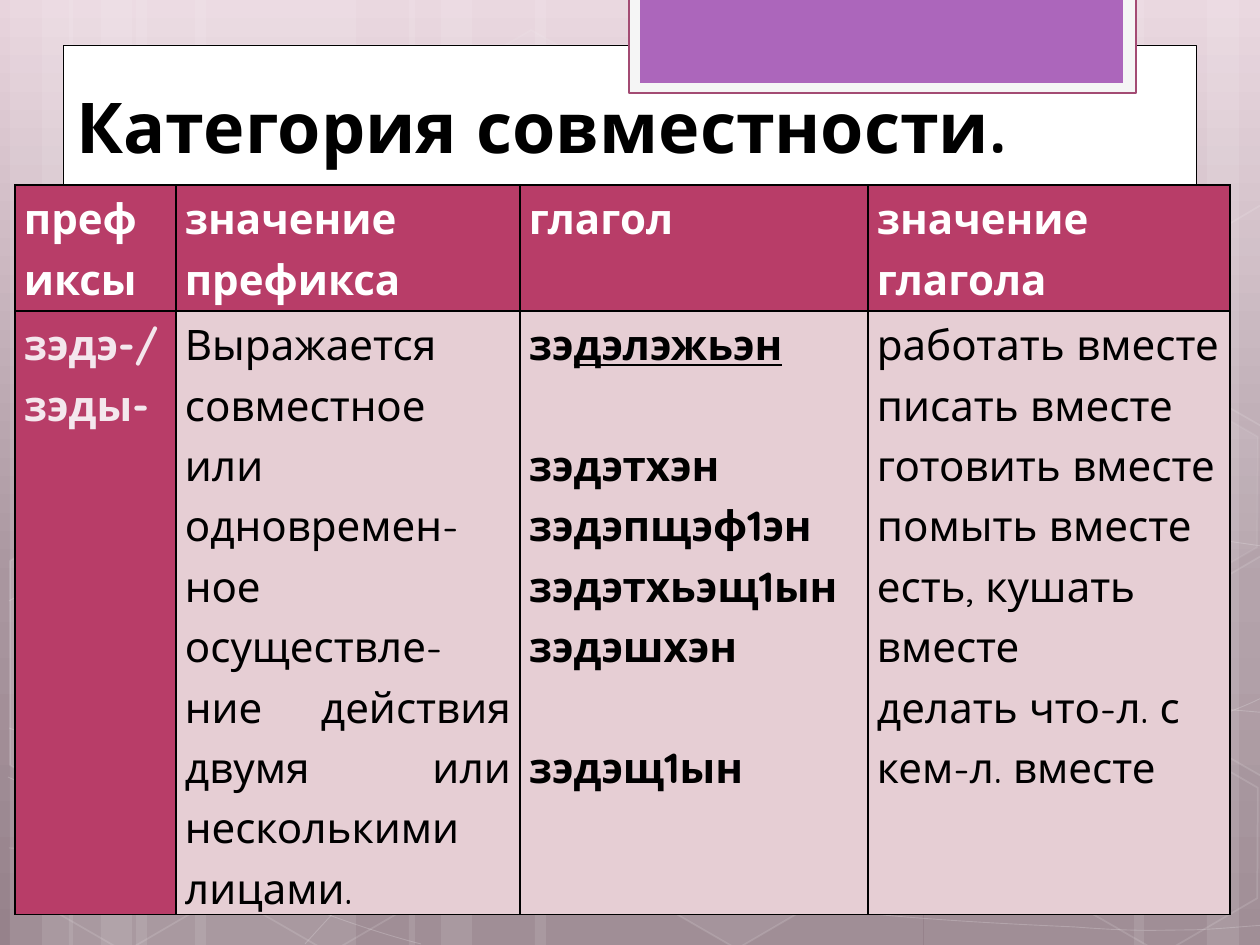
from copy import deepcopy
from typing import NamedTuple, Optional

from lxml.etree import SubElement
from pptx import Presentation
from pptx.dml.color import RGBColor
from pptx.enum.shapes import MSO_SHAPE as SHAPE
from pptx.enum.text import MSO_ANCHOR as ANCHOR, PP_ALIGN as ALIGN
from pptx.oxml.ns import qn
from pptx.util import Pt

PX = 914400 / 126
FONT = "Quicksand"
LINE_PT = 34.5  # height of one table text line


class Hexagon(NamedTuple):
    x: int
    y: int
    fill_alpha: Optional[int]
    line_alpha: int


class Outline(NamedTuple):
    points: list
    fill_alpha: Optional[int] = None


class Run(NamedTuple):
    text: str
    underline: bool = False


class Line(NamedTuple):
    runs: list
    gap: float = 0  # space before, in points


# Vertical stripes: left, width
STRIPES = [(136, 220), (10, 63), (42, 105), (195, 220), (69, 63), (101, 105),
           (924, 220), (1207, 53), (1134, 105), (535, 388), (409, 63), (441, 105)]

# Each curve is a start point followed by groups of three Bezier points
CURVES = [
    [(9, 848), (77, 852), (145, 856), (239, 854), (334, 853), (451, 850), (577, 838),
     (703, 825), (882, 801), (998, 777), (1113, 753), (1231, 716), (1269, 694)],
    [(9, 601), (45, 581), (82, 562), (152, 543), (224, 524), (326, 496), (437, 488),
     (549, 479), (685, 478), (824, 488), (963, 498), (1193, 537), (1269, 547)],
    [(8, 777), (160, 847), (311, 916), (421, 944)],
    [(9, 728), (48, 742), (88, 756), (161, 776), (234, 795), (344, 827), (450, 848),
     (554, 869), (687, 892), (791, 905), (896, 919), (1008, 924), (1075, 927),
     (1140, 932), (1158, 930), (1191, 930), (1223, 929), (1246, 926), (1269, 925)],
    [(305, 944), (328, 919), (350, 893), (381, 871), (411, 848), (454, 822), (489, 805),
     (524, 788), (546, 780), (592, 767), (638, 755), (722, 737), (766, 728),
     (811, 719), (818, 719), (857, 717), (896, 713), (958, 709), (1000, 708),
     (1045, 707), (1116, 708), (1116, 708), (1116, 708), (1201, 708), (1201, 708),
     (1223, 709), (1245, 711), (1256, 712), (1268, 713), (1264, 712), (1268, 713)],
]

HEXAGONS = [Hexagon(421, 45, 4, 8), Hexagon(626, 742, 6, 12), Hexagon(14, 745, None, 12),
            Hexagon(18, 393, 7, 8), Hexagon(219, 746, None, 12), Hexagon(949, 571, 10, 12),
            Hexagon(1051, 747, None, 12), Hexagon(1051, 396, 7, 8)]

CUT_HEXAGONS = [
    Outline([(10, 561), (24, 552), (121, 607), (120, 718), (25, 774), (10, 765)], 10),
    Outline([(1167, 611), (1261, 556), (1271, 562), (1271, 772), (1263, 777), (1167, 722)], 4),
    Outline([(1167, 261), (1261, 205), (1273, 212), (1271, 422), (1263, 427), (1167, 372)]),
]

COLUMNS = [161, 344, 348, 362]
ROWS = [126, 599]
HEADER = ["префиксы", "значение префикса", "глагол", "значение глагола"]
BODY = [
    [Line([Run("зэдэ-/зэды-")])],
    [Line([Run("Выражается совместное или одновремен-ное осуществле-ние действия "
               "двумя или несколькими лицами.")])],
    [Line([Run("зэ"), Run("дэлэжьэн", True)]), Line([Run("зэдэтхэн")], LINE_PT),
     Line([Run("зэдэпщэф1эн")]), Line([Run("зэдэтхьэщ1ын")]), Line([Run("зэдэшхэн")]),
     Line([Run("зэдэщ1ын")], LINE_PT)],
    [Line([Run(t)]) for t in ("работать вместе", "писать вместе", "готовить вместе",
                              "помыть вместе", "есть, кушать вместе",
                              "делать что-л. с кем-л. вместе")],
]


def px(n: float) -> int:
    return round(n * PX)


def rgb(value: str) -> RGBColor:
    return RGBColor.from_string(value)


def set_all(obj, values: dict) -> None:
    for name, value in values.items():
        setattr(obj, name, value)


def paint(fill, color: Optional[str], alpha: Optional[int] = None) -> None:
    if color is None:
        fill.background()
        return
    fill.solid()
    fill.fore_color.rgb = rgb(color)
    if alpha is not None:
        clr = fill._xPr.find(qn("a:solidFill"))[0]
        SubElement(clr, qn("a:alpha"), val=str(alpha * 1000))


def style(sp, fill=None, fill_alpha=None, line=None, width=1.0, line_alpha=None) -> None:
    sp.shadow.inherit = False
    paint(sp.fill, fill, fill_alpha)
    paint(sp.line.fill, line, line_alpha)
    if line:
        sp.line.width = Pt(width)


def add_box(s, x: int, y: int, w: int, h: int, kind=SHAPE.RECTANGLE, **look):
    sp = s.shapes.add_shape(kind, px(x), px(y), px(w), px(h))
    style(sp, **look)
    return sp


def add_outline(s, points: list, close: bool, **look):
    builder = s.shapes.build_freeform(*points[0], scale=PX)
    builder.add_line_segments(points[1:], close=close)
    sp = builder.convert_to_shape()
    style(sp, **look)
    return sp


def add_curve(s, points: list) -> None:
    sp = add_outline(s, points, False, line="FFFFFF", width=0.5, line_alpha=20)
    route = next(sp._element.iter(qn("a:path")))
    steps = route.findall(qn("a:lnTo"))
    for i in range(0, len(steps), 3):
        bezier = SubElement(route, qn("a:cubicBezTo"))
        for step in steps[i:i + 3]:
            bezier.append(step[0])
            route.remove(step)


def add_hexagon(s, item: Hexagon) -> None:
    sp = add_box(s, item.x, item.y, 221, 192, SHAPE.HEXAGON,
                 fill="FFFFFF" if item.fill_alpha else None, fill_alpha=item.fill_alpha,
                 line="FFFFFF", line_alpha=item.line_alpha)
    sp.adjustments[0] = 0.285
    sp.rotation = 30


def set_background(s) -> None:
    fill = s.background.fill
    fill.gradient()
    fill.gradient_angle = 270
    stops = next(fill._xPr.iter(qn("a:gsLst")))
    stops.append(deepcopy(stops[-1]))
    for stop, (pos, color) in zip(fill.gradient_stops,
                                  [(0, "E8D4DD"), (0.62, "A9969F"), (1, "96828B")]):
        stop.position = pos
        stop.color.rgb = rgb(color)


def fill_cell(cell, lines: list, fill: str, color: str, bold: bool, align) -> None:
    set_all(cell, dict(margin_left=px(9), margin_right=px(9), margin_top=0, margin_bottom=0))
    tc_pr = cell._tc.get_or_add_tcPr()
    for side in ("lnL", "lnR", "lnT", "lnB"):
        ln = SubElement(tc_pr, qn(f"a:{side}"), w=str(Pt(1)))
        SubElement(SubElement(ln, qn("a:solidFill")), qn("a:srgbClr"), val="000000")
    paint(cell.fill, fill)
    tf = cell.text_frame
    for i, line in enumerate(lines):
        p = tf.add_paragraph() if i else tf.paragraphs[0]
        set_all(p, dict(alignment=align, line_spacing=1.15, space_before=Pt(line.gap)))
        for run in line.runs:
            r = p.add_run()
            r.text = run.text
            set_all(r.font, dict(name=FONT, size=Pt(24), bold=bold, underline=run.underline))
            r.font.color.rgb = rgb(color)


def add_prefix_table(s) -> None:
    table = s.shapes.add_table(2, 4, px(15), px(185), px(sum(COLUMNS)), px(sum(ROWS))).table
    set_all(table, dict(first_row=False, horz_banding=False))
    for col, w in zip(table.columns, COLUMNS):
        col.width = px(w)
    for row, h in zip(table.rows, ROWS):
        row.height = px(h)
    for c, (head, lines) in enumerate(zip(HEADER, BODY)):
        fill_cell(table.cell(0, c), [Line([Run(head)])], "B83D68", "FFFFFF", True, ALIGN.JUSTIFY)
        fill_cell(table.cell(1, c), lines, "E6CED4" if c else "B83D68",
                  "000000" if c else "F4E7ED", c in (0, 2),
                  ALIGN.LEFT if c == 3 else ALIGN.JUSTIFY)


def add_title(s) -> None:
    title = s.shapes.title
    set_all(title, dict(left=px(64), top=px(16), width=px(968), height=px(158)))
    tf = title.text_frame
    set_all(tf, dict(vertical_anchor=ANCHOR.BOTTOM, word_wrap=True))
    p = tf.paragraphs[0]
    p.alignment = ALIGN.LEFT
    r = p.add_run()
    r.text = "Категория совместности."
    set_all(r.font, dict(name=FONT, size=Pt(40), bold=True))
    r.font.color.rgb = rgb("000000")
    s.shapes._spTree.append(title._element)  # bring in front of the decoration


def main() -> None:
    prs = Presentation()
    set_all(prs, dict(slide_width=px(1260), slide_height=px(945)))
    s = prs.slides.add_slide(prs.slide_layouts[5])

    # Background decoration
    set_background(s)
    for x, w in STRIPES:
        add_box(s, x, 0, w, 945, fill="FFFFFF", fill_alpha=10)
    for points in CURVES:
        add_curve(s, points)
    for item in HEXAGONS:
        add_hexagon(s, item)
    for item in CUT_HEXAGONS:
        add_outline(s, item.points, True, fill="FFFFFF" if item.fill_alpha else None,
                    fill_alpha=item.fill_alpha, line="FFFFFF", line_alpha=12)

    # White panel with the purple tab
    add_box(s, 63, 45, 1134, 852, fill="FFFFFF", line="000000", width=0.5)
    add_box(s, 629, -3, 507, 96, fill="F5F5F5", line="A34B73", width=1.25)
    add_box(s, 640, -3, 483, 86, fill="AC66BB")

    # Content
    add_title(s)
    add_prefix_table(s)
    prs.save("out.pptx")


if __name__ == "__main__":
    main()
